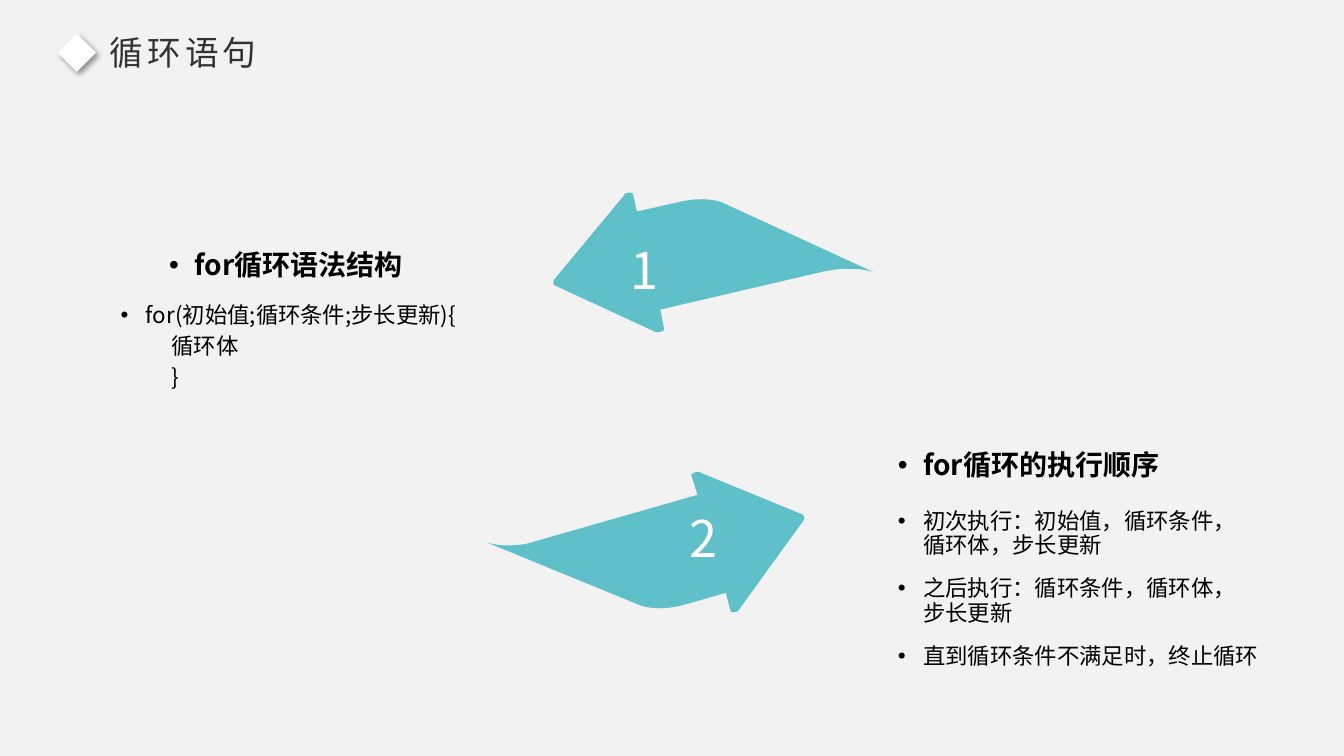
from lxml import etree
from pptx import Presentation
from pptx.dml.color import RGBColor
from pptx.enum.shapes import MSO_SHAPE
from pptx.oxml import parse_xml
from pptx.oxml.ns import nsdecls, qn
from pptx.util import Cm, Pt

DIAMOND = MSO_SHAPE.DIAMOND
FONT = "Noto Sans CJK SC"
TEAL = RGBColor(0x5F, 0xC0, 0xC9)
PALE = RGBColor(0xF2, 0xF2, 0xF2)
WHITE = RGBColor(0xFF, 0xFF, 0xFF)
BLACK = RGBColor(0, 0, 0)
GREY = RGBColor(0x33, 0x33, 0x33)
INDENT = 0.64
STEPS = 8

# Outlines in cm: two numbers are a corner, six are a Bezier curve
LEFT_ARROW = [
    (15.72, 4.93), (13.97, 7.04),
    (13.92, 7.11, 13.94, 7.19, 14.02, 7.21), (16.51, 8.36),
    (16.59, 8.38, 16.69, 8.36, 16.74, 8.31), (16.64, 7.8), (20.8, 6.83),
    (20.8, 6.83, 20.93, 6.81, 21.13, 6.78),
    (21.51, 6.76, 21.79, 6.78, 22.02, 6.86), (18.26, 5.13),
    (18.26, 5.13, 17.83, 4.88, 16.94, 5.13), (16.05, 5.33), (15.95, 4.88),
    (15.88, 4.83, 15.75, 4.85, 15.72, 4.93),
]
RIGHT_ARROW = [
    (18.64, 15.34), (20.24, 13.13),
    (20.29, 13.06, 20.27, 12.98, 20.19, 12.95), (17.65, 11.91),
    (17.6, 11.86, 17.48, 11.91, 17.42, 11.96), (17.58, 12.47), (13.49, 13.64),
    (13.49, 13.64, 13.36, 13.69, 13.16, 13.72),
    (12.78, 13.77, 12.5, 13.74, 12.27, 13.67), (16.1, 15.24),
    (16.1, 15.24, 16.56, 15.47, 17.42, 15.19), (18.29, 14.94), (18.42, 15.42),
    (18.49, 15.44, 18.62, 15.42, 18.64, 15.34),
]

# Left, top, width, height in cm, then the text
HEADS = [
    (4.01, 6.2, 6.86, 1.14, "for循环语法结构"),
    (22.38, 11.25, 7.34, 0.94, "for循环的执行顺序"),
]
NOTES = [
    (2.79, 7.54, 9.88, 1.93, "for(初始值;循环条件;步长更新){", "循环体", "}"),
    (22.38, 12.73, 9.17, 1.57, "初次执行：初始值，循环条件，循环体，步长更新"),
    (22.38, 14.43, 9.35, 1.57, "之后执行：循环条件，循环体，步长更新"),
    (22.38, 16.13, 9.68, 1.57, "直到循环条件不满足时，终止循环"),
]


def trace(outline):
    """Turn corners and curves into a list of points."""
    points = [outline[0]]
    for part in outline[1:]:
        if len(part) == 2:
            points.append(part)
            continue
        start, one, two, end = points[-1], part[:2], part[2:4], part[4:]
        for step in range(1, STEPS + 1):
            t = step / STEPS
            u = 1 - t
            points.append(tuple(
                u**3 * a + 3 * u * u * t * b + 3 * u * t * t * c + t**3 * d
                for a, b, c, d in zip(start, one, two, end)))
    return [(Cm(x), Cm(y)) for x, y in points]


def paint(shape, color):
    shape.fill.solid()
    shape.fill.fore_color.rgb = color
    shape.line.fill.background()
    shape.shadow.inherit = False


def add_arrow(slide, outline):
    points = trace(outline)
    pen = slide.shapes.build_freeform(*points[0])
    pen.add_line_segments(points[1:], close=True)
    paint(pen.convert_to_shape(), TEAL)


def add_mark(slide):
    mark = slide.shapes.add_shape(
        DIAMOND, Cm(1.45), Cm(0.84), Cm(0.97), Cm(0.97))
    paint(mark, WHITE)
    effects = mark.element.spPr.find(qn("a:effectLst"))
    effects.append(parse_xml(
        f'<a:outerShdw {nsdecls("a")} blurRad="{Pt(4)}" dist="{Pt(3)}" '
        'dir="2700000" algn="tl" rotWithShape="0"><a:srgbClr val="000000">'
        '<a:alpha val="40000"/></a:srgbClr></a:outerShdw>'))


def add_box(slide, left, top, width, height, wrap=True):
    box = slide.shapes.add_textbox(Cm(left), Cm(top), Cm(width), Cm(height))
    box.text_frame.word_wrap = wrap
    return box.text_frame


def add_run(para, text, size, color, bold=False):
    run = para.add_run()
    run.text = text
    font = run.font
    font.name, font.size, font.bold = FONT, Pt(size), bold
    font.color.rgb = color
    props = run._r.get_or_add_rPr()
    etree.SubElement(props, qn("a:ea")).set("typeface", FONT)
    return props


def add_list(slide, spot, lines, size, bold=False):
    """First line has a bullet, the others are indented below it."""
    frame = add_box(slide, *spot)
    for row, line in enumerate(lines):
        para = frame.add_paragraph() if row else frame.paragraphs[0]
        para.line_spacing = 0.9
        props = para._p.get_or_add_pPr()
        if row:
            para.level = 1
            para.space_before = Pt(5)
            props.set("marL", str(Cm(2 * INDENT)))
            props.set("indent", "0")
        else:
            props.set("marL", str(Cm(INDENT)))
            props.set("indent", str(-Cm(INDENT)))
            etree.SubElement(props, qn("a:buFont")).set("typeface", "Arial")
            etree.SubElement(props, qn("a:buChar")).set("char", "•")
        add_run(para, line, size, BLACK, bold)


def main():
    deck = Presentation()
    deck.slide_width, deck.slide_height = Cm(33.87), Cm(19.05)
    slide = deck.slides.add_slide(deck.slide_layouts[6])
    slide.background.fill.solid()
    slide.background.fill.fore_color.rgb = PALE

    # Numbered arrows
    for outline in (LEFT_ARROW, RIGHT_ARROW):
        add_arrow(slide, outline)
    for number, left, top in (("1", 15.65, 5.89), ("2", 17.12, 12.65)):
        frame = add_box(slide, left, top, 1.14, 1.8, wrap=False)
        add_run(frame.paragraphs[0], number, 36, WHITE)

    # Headings and notes
    for head in HEADS:
        add_list(slide, head[:4], head[4:], 20, bold=True)
    for note in NOTES:
        add_list(slide, note[:4], note[4:], 16)

    # Slide title
    add_mark(slide)
    frame = add_box(slide, 2.51, 0.69, 13.16, 1.27)
    add_run(frame.paragraphs[0], "循环语句", 24, GREY).set("spc", "300")

    deck.save("out.pptx")


if __name__ == "__main__":
    main()
